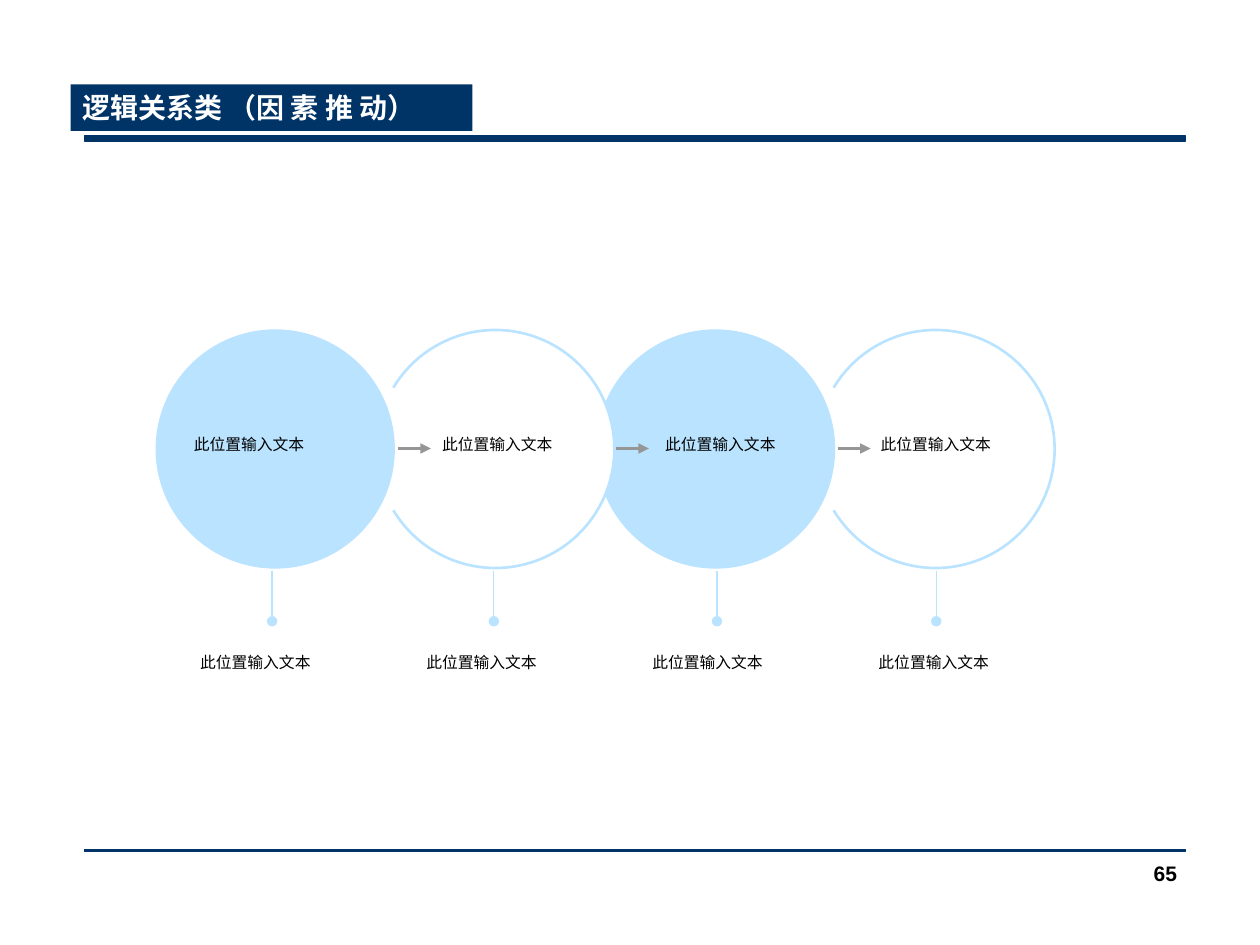
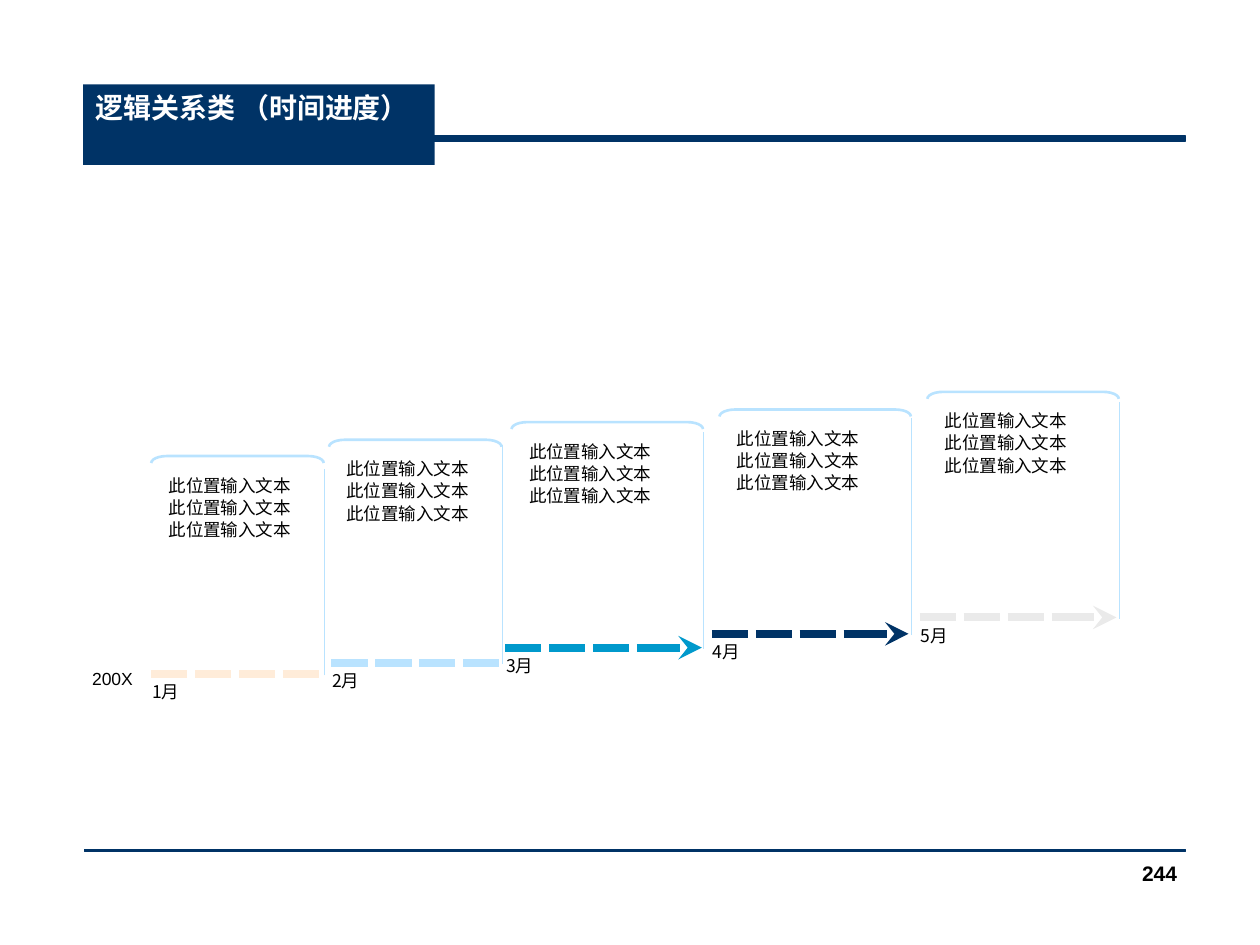
from dataclasses import dataclass
from typing import Optional

from lxml import etree
from pptx import Presentation
from pptx.dml.color import RGBColor
from pptx.enum.shapes import MSO_CONNECTOR, MSO_SHAPE
from pptx.enum.text import MSO_ANCHOR, MSO_AUTO_SIZE, PP_ALIGN
from pptx.oxml.ns import qn
from pptx.util import Pt

RECTANGLE = MSO_SHAPE.RECTANGLE
OVAL = MSO_SHAPE.OVAL
ARC = MSO_SHAPE.ARC
BRACKET = MSO_SHAPE.LEFT_BRACKET
STRAIGHT = MSO_CONNECTOR.STRAIGHT
TOP = MSO_ANCHOR.TOP
FIXED_SIZE = MSO_AUTO_SIZE.NONE
LEFT = PP_ALIGN.LEFT
RIGHT = PP_ALIGN.RIGHT
ARC_UNITS_PER_DEGREE = 0.6


@dataclass(frozen=True)
class Theme:
    navy: str = "003366"
    sky: str = "B9E3FF"
    teal: str = "0099CC"
    cream: str = "FFECD9"
    silver: str = "EAEAEA"
    gray: str = "969696"
    white: str = "FFFFFF"
    black: str = "000000"
    latin: str = "Arial"
    chinese: str = "Noto Sans CJK SC"
    title_size: float = 16
    number_size: float = 12
    month_size: float = 10
    label_size: float = 9


THEME = Theme()
SAMPLE = "此位置输入文本"


@dataclass(frozen=True)
class Area:
    left: float
    top: float
    width: float
    height: float

    def lengths(self) -> tuple:
        return Pt(self.left), Pt(self.top), Pt(self.width), Pt(self.height)


@dataclass(frozen=True)
class Style:
    size: float
    font: str = THEME.latin
    color: str = THEME.black
    bold: bool = False
    align: PP_ALIGN = LEFT
    spacing: float = 1.0
    inset: bool = True


TITLE = Style(THEME.title_size, color=THEME.white, bold=True)
NUMBER = Style(THEME.number_size, bold=True, align=RIGHT)
LABEL = Style(THEME.label_size)
YEAR = Style(THEME.month_size, inset=False)
MONTH = Style(THEME.month_size, THEME.chinese, inset=False)
NOTES = Style(THEME.month_size, THEME.chinese, spacing=1.05)


@dataclass(frozen=True)
class Factor:
    label_left: float
    label_width: float
    stem_x: float
    arrow_left: Optional[float] = None


@dataclass(frozen=True)
class Stage:
    month: str
    color: str
    left: float
    width: float
    top: float
    dash_left: float
    dash_y: float
    post_height: float = 124
    arrow: bool = True


FACTORS = [
    Factor(103.7, 126, 155.5, 227.5),
    Factor(245.5, 109.4, 282.2, 352.1),
    Factor(373, 104.4, 409.7, 478.8),
    Factor(496.1, 101.5, 535),
]
DRAW_ORDER = (2, 3, 1, 0)

STAGES = [
    Stage("1月", THEME.cream, 86.4, 98.6, 260.6, 86.4, 385.2, 118, False),
    Stage("2月", THEME.sky, 188, 98.6, 251.3, 189.4, 378.7, 125, False),
    Stage("3月", THEME.teal, 292.3, 109.4, 241.2, 288.7, 370.1),
    Stage("4月", THEME.navy, 411.1, 109.4, 234, 406.8, 362.2),
    Stage("5月", THEME.silver, 529.9, 109.4, 223.9, 525.6, 352.8),
]


def rgb(color: str) -> RGBColor:
    return RGBColor.from_string(color)


def write(shape, lines: list[str], style: Style) -> None:
    frame = shape.text_frame
    frame.word_wrap = True
    frame.auto_size = FIXED_SIZE
    frame.vertical_anchor = TOP
    if not style.inset:
        frame.margin_left = frame.margin_right = Pt(0)
        frame.margin_top = frame.margin_bottom = Pt(0)
    for index, line in enumerate(lines):
        para = frame.add_paragraph() if index else frame.paragraphs[0]
        para.alignment = style.align
        para.line_spacing = style.spacing
        span = para.add_run()
        span.text = line
        span.font.size = Pt(style.size)
        span.font.bold = style.bold
        span.font.color.rgb = rgb(style.color)
        span.font.name = style.font
        east_asian = etree.SubElement(span.font._element, qn("a:ea"))
        east_asian.set("typeface", THEME.chinese)


def add_text(page, area: Area, lines: list[str], style: Style) -> None:
    write(page.shapes.add_textbox(*area.lengths()), lines, style)


def add_figure(page, kind: MSO_SHAPE, area: Area, fill: Optional[str] = None,
               line: Optional[str] = None, weight: float = 0.75):
    shape = page.shapes.add_shape(kind, *area.lengths())
    shape.shadow.inherit = False
    if fill:
        shape.fill.solid()
        shape.fill.fore_color.rgb = rgb(fill)
    else:
        shape.fill.background()
    if line:
        shape.line.color.rgb = rgb(line)
        shape.line.width = Pt(weight)
    else:
        shape.line.fill.background()
    return shape


def add_line(page, start: tuple[float, float], end: tuple[float, float],
             color: str, weight: float, head: Optional[str] = None) -> None:
    line = page.shapes.add_connector(STRAIGHT, *map(Pt, start + end))
    line.line.color.rgb = rgb(color)
    line.line.width = Pt(weight)
    if head:
        tail = etree.SubElement(line.line._get_or_add_ln(), qn("a:tailEnd"))
        tail.set("type", head)
    etree.SubElement(line._element.spPr, qn("a:effectLst"))


def add_page(deck, title: str, title_area: Area, number: str):
    page = deck.slides.add_slide(deck.slide_layouts[6])
    for top, height in ((77.8, 2.9), (485.3, 1.4)):
        add_figure(page, RECTANGLE, Area(48.2, top, 629.3, height),
                   THEME.navy, THEME.navy, 0)
    write(add_figure(page, RECTANGLE, title_area, THEME.navy), [title], TITLE)
    add_text(page, Area(529.9, 488.2, 149.8, 36), [number], NUMBER)
    return page


def build_factors(deck) -> None:
    page = add_page(deck, "逻辑关系类 （因 素 推 动）",
                    Area(40.3, 48.2, 229.7, 26.6), "65")
    for index in DRAW_ORDER:
        area = Area(89.3 + 125.8 * index, 188.6, 136, 136)
        if index % 2:
            ring = add_figure(page, ARC, area, THEME.white, THEME.sky, 1.5)
            ring.adjustments[0] = 211 * ARC_UNITS_PER_DEGREE
            ring.adjustments[1] = 149 * ARC_UNITS_PER_DEGREE
        else:
            add_figure(page, OVAL, area, THEME.sky, THEME.sky)
    for index, factor in enumerate(FACTORS):
        if factor.arrow_left is not None:
            add_line(page, (factor.arrow_left, 256.3),
                     (factor.arrow_left + 18.7, 256.3), THEME.gray, 1.5, "triangle")
        add_text(page, Area(factor.label_left, 244.8, factor.label_width, 18),
                 [SAMPLE], LABEL)
        add_text(page, Area(107.3 + 129.2 * index, 369.4, 126, 18), [SAMPLE], LABEL)
        add_line(page, (factor.stem_x, 326.2), (factor.stem_x, 355),
                 THEME.sky, 0.75, "oval")


def add_stage(page, stage: Stage) -> None:
    for index in range(4):
        start = stage.dash_left + 25.1 * index
        pointed = stage.arrow and index == 3
        add_line(page, (start, stage.dash_y),
                 (start + (37.1 if pointed else 20.7), stage.dash_y),
                 stage.color, 4.5, "stealth" if pointed else None)

    depth, corner = 4, 9
    bracket = add_figure(
        page, BRACKET,
        Area(stage.left + (stage.width - depth) / 2,
             stage.top + (depth - stage.width) / 2, depth, stage.width),
        line=THEME.sky, weight=1.5)
    bracket.rotation = 90
    bracket.adjustments[0] = corner / depth

    post_x = stage.left + stage.width + 0.5
    post_bottom = stage.dash_y + 0.7
    add_line(page, (post_x, post_bottom), (post_x, post_bottom - stage.post_height),
             THEME.sky, 0.75)
    add_text(page, Area(stage.left + 2.9, stage.top + 6.5, stage.width - 2, 45.4),
             [SAMPLE] * 3, NOTES)
    add_text(page, Area(stage.dash_left + 0.5, stage.dash_y + 4.1, 43.9, 12.2),
             [stage.month], MONTH)


def build_timeline(deck) -> None:
    page = add_page(deck, "逻辑关系类 （时间进度）",
                    Area(47.5, 48.2, 200.9, 46.1), "244")
    add_text(page, Area(52.6, 381.6, 49, 26.6), ["200X"], YEAR)
    for stage in STAGES:
        add_stage(page, stage)


def main() -> None:
    deck = Presentation()
    deck.slide_width, deck.slide_height = Pt(720), Pt(540)
    build_factors(deck)
    build_timeline(deck)
    deck.save("out.pptx")


if __name__ == "__main__":
    main()
